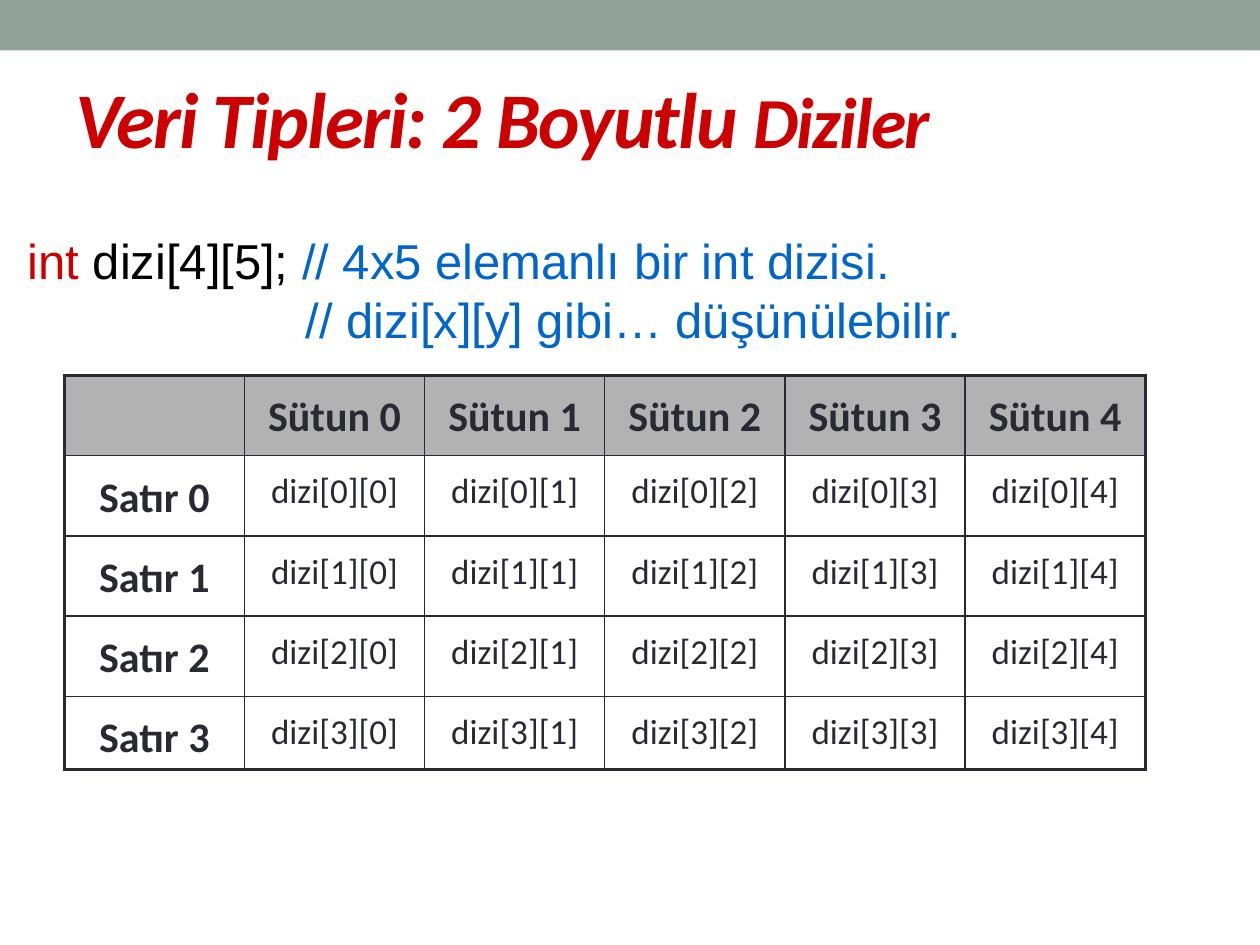
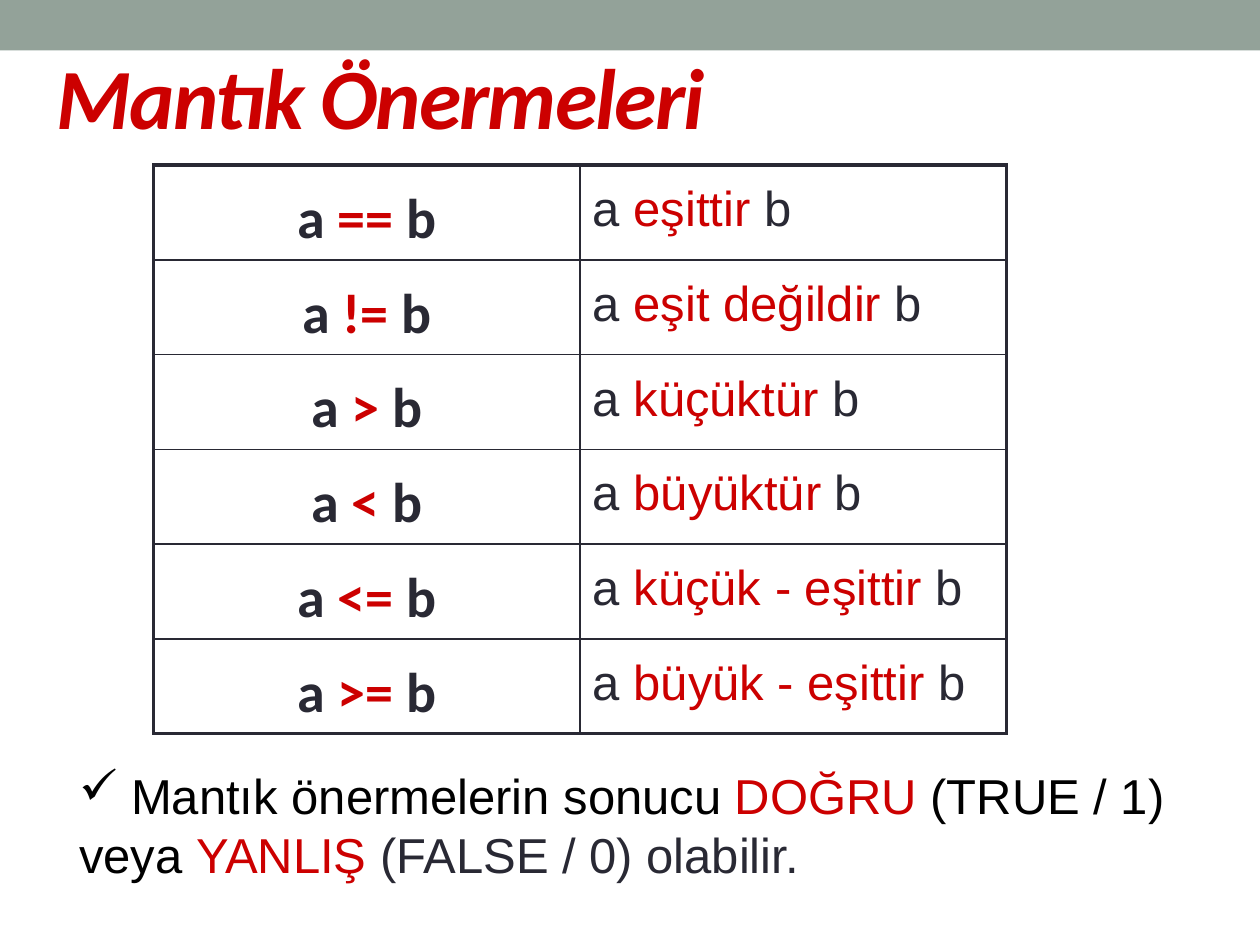
from dataclasses import dataclass, replace

from lxml.etree import SubElement as Sub
from pptx import Presentation
from pptx.dml.color import RGBColor
from pptx.enum.shapes import MSO_SHAPE as Shape
from pptx.enum.text import MSO_ANCHOR as Anchor, PP_ALIGN as Align
from pptx.oxml.ns import qn
from pptx.util import Inches, Pt

COLS, ROWS = 100, 75
RED, BLUE, BLACK, DARK = "CC0000", "0066CC", "000000", "292934"
SAGE, GRAY = "93A299", "B2B2B2"
THICK, THIN = 2.25, 1


def hue(code):
    return RGBColor.from_string(code)


@dataclass(frozen=True)
class Type:
    face: str
    size: float
    bold: bool = False
    slant: bool = False
    track: int = 0


HEAD = Type("Calibri", 45, True, True, -100)
BODY = Type("Arial", 28)
LABEL = Type("Calibri", 24, True)
ITEM = Type("Calibri", 20)
SIGN = Type("Calibri", 32, True)


class Deck:
    def __init__(self):
        self.file = Presentation()
        self.file.slide_width = Inches(10)
        self.file.slide_height = Inches(7.5)
        self.slide = None

    def x(self, cols):
        return round(self.file.slide_width * cols / COLS)

    def y(self, rows):
        return round(self.file.slide_height * rows / ROWS)

    def box(self, left, top, wide, high):
        return self.x(left), self.y(top), self.x(wide), self.y(high)

    def page(self):
        self.slide = self.file.slides.add_slide(self.file.slide_layouts[6])
        self.band()

    def band(self):
        bar = self.slide.shapes.add_shape(Shape.RECTANGLE, *self.box(0, 0, COLS, 4))
        bar.shadow.inherit = False
        bar.fill.solid()
        bar.fill.fore_color.rgb = hue(SAGE)
        bar.line.fill.background()

    def run(self, par, text, ink, kind):
        run = par.add_run()
        run.text = text
        font = run.font
        font.name, font.size = kind.face, Pt(kind.size)
        font.bold, font.italic = kind.bold, kind.slant
        font.color.rgb = hue(ink)
        if kind.track:
            run._r.get_or_add_rPr().set("spc", str(kind.track))

    def text(self, area, lines, anchor=Anchor.TOP):
        frame = self.slide.shapes.add_textbox(*self.box(*area)).text_frame
        frame.word_wrap = True
        frame.vertical_anchor = anchor
        for row, runs in enumerate(lines):
            par = frame.add_paragraph() if row else frame.paragraphs[0]
            for run in runs:
                self.run(par, *run)
        return frame.paragraphs

    def title(self, area, runs):
        self.text(area, [runs], Anchor.MIDDLE)

    def inset(self, par, cols):
        prop = par._p.get_or_add_pPr()
        prop.set("marL", str(self.x(cols)))
        prop.set("indent", "0")

    def bullet(self, par, mark):
        self.inset(par, 0)
        Sub(par._p.get_or_add_pPr(), qn("a:buChar")).set("char", mark)

    def edge(self, cell, side, width):
        line = Sub(cell._tc.get_or_add_tcPr(), qn("a:ln" + side), w=str(Pt(width)))
        Sub(Sub(line, qn("a:solidFill")), qn("a:srgbClr"), val=DARK)

    def cell(self, cell, runs, align, fill):
        par = cell.text_frame.paragraphs[0]
        par.alignment = align
        par.line_spacing = 1.2
        gap = Sub(par._p.get_or_add_pPr(), qn("a:spcBef"))
        Sub(gap, qn("a:spcPct"), val="20000")
        for run in runs:
            self.run(par, *run)
        if fill:
            cell.fill.solid()
            cell.fill.fore_color.rgb = hue(fill)
        else:
            cell.fill.background()

    def table(self, left, top, wide, highs, data, aligns, head=None):
        rows, cols = len(data), len(data[0])
        area = self.box(left, top, wide, sum(highs))
        table = self.slide.shapes.add_table(rows, cols, *area).table
        table.first_row = table.horz_banding = False
        for col in table.columns:
            col.width = self.x(wide / cols)
        for r, (line, high) in enumerate(zip(data, highs)):
            table.rows[r].height = self.y(high)
            for c, runs in enumerate(line):
                cell = table.cell(r, c)
                rims = {"L": c == 0, "R": c == cols - 1,
                        "T": r == 0, "B": r == rows - 1}
                for side, rim in rims.items():
                    self.edge(cell, side, THICK if rim else THIN)
                self.cell(cell, runs, aligns[c], None if r else head)


def arrays(deck):
    deck.page()
    deck.title((5, 3, 90, 12.5), [
        ("Veri Tipleri: 2 Boyutlu ", RED, HEAD),
        ("Diziler", RED, replace(HEAD, size=41))])
    lines = deck.text((1.2, 17.8, 98.8, 10.4), [
        [("int ", RED, BODY), ("dizi[4][5]; ", BLACK, BODY),
         ("// 4x5 elemanlı bir int dizisi.", BLUE, BODY)],
        [("// dizi[x][y] gibi… düşünülebilir.", BLUE, BODY)]])
    deck.inset(lines[1], 22.1)
    data = [[[]] + [[(f"Sütun {c}", DARK, LABEL)] for c in range(5)]]
    for r in range(4):
        items = [[(f"dizi[{r}][{c}]", DARK, ITEM)] for c in range(5)]
        data.append([[(f"Satır {r}", DARK, LABEL)]] + items)
    deck.table(5.1, 29.8, 85.8, [6.37] * 4 + [5.8], data,
               [Align.CENTER] * 6, GRAY)


def logic(deck):
    deck.page()
    deck.title((3.5, 1.3, 69.4, 12.5),
               [("Mantık Önermeleri", RED, replace(HEAD, size=49))])
    signs = {"==": "eşittir", "!=": "eşit değildir", ">": "küçüktür",
             "<": "büyüktür", "<=": "küçük - eşittir", ">=": "büyük - eşittir"}
    data = [[[("a ", DARK, kind), (word, RED, kind), (" b", DARK, kind)]
             for word, kind in ((sign, SIGN), (name, BODY))]
            for sign, name in signs.items()]
    deck.table(12.2, 13.1, 67.7, [7.52] * 6, data, [Align.CENTER, Align.LEFT])
    lines = deck.text((5.3, 60.3, 89.4, 14.7), [[
        (" Mantık önermelerin sonucu ", BLACK, BODY), ("DOĞRU", RED, BODY),
        (" (TRUE / 1) veya ", BLACK, BODY), ("YANLIŞ", RED, BODY),
        (" (FALSE / 0) olabilir.", DARK, BODY)]])
    deck.bullet(lines[0], "✓")


def main():
    deck = Deck()
    arrays(deck)
    logic(deck)
    deck.file.save("out.pptx")


if __name__ == "__main__":
    main()
